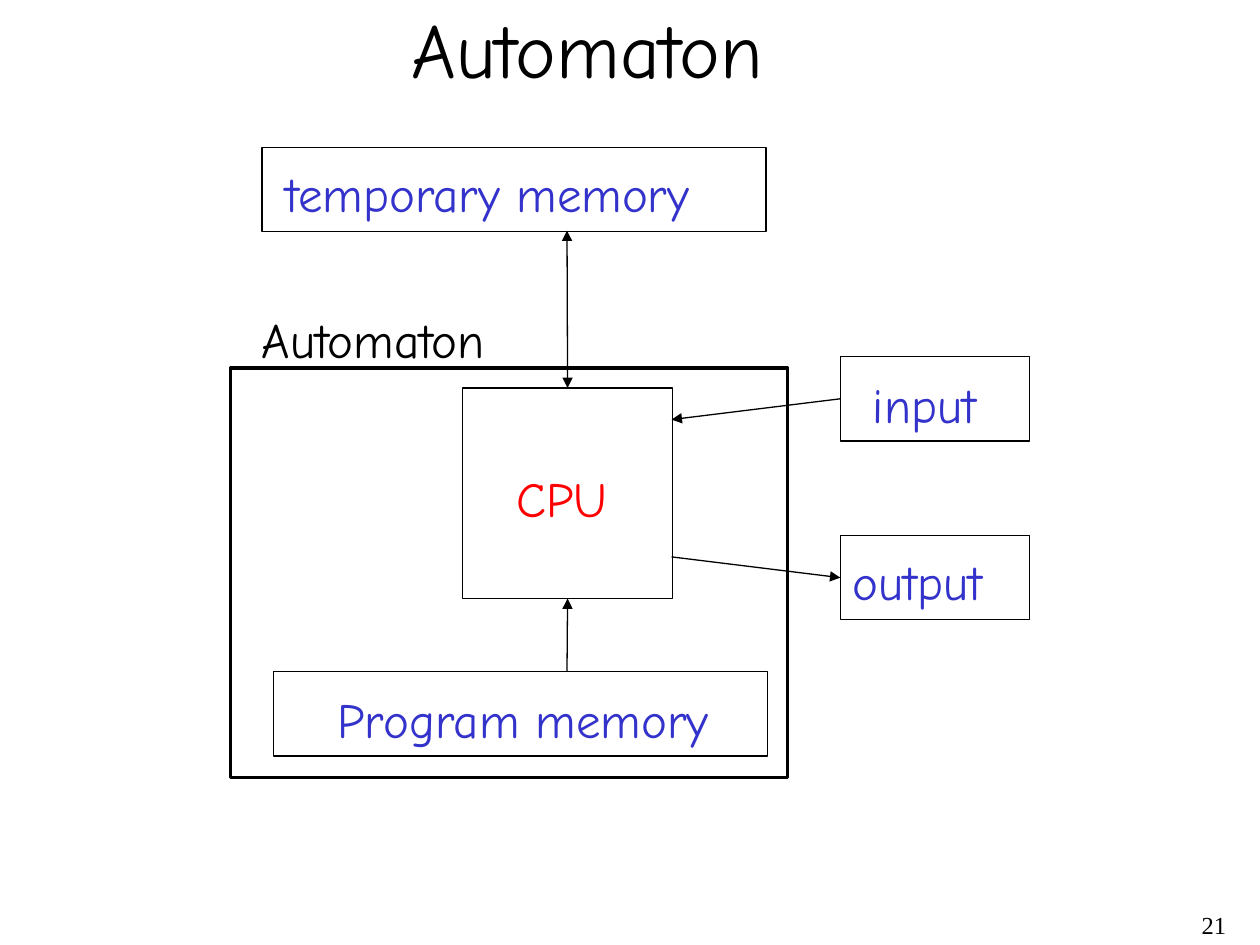
from lxml import etree
from pptx import Presentation
from pptx.dml.color import RGBColor
from pptx.enum import shapes, text
from pptx.oxml import ns
from pptx.util import Inches, Pt

BLACK = RGBColor(0x00, 0x00, 0x00)
RED = RGBColor(0xFF, 0x00, 0x00)
BLUE = RGBColor(0x33, 0x33, 0xCC)
FONT = "Comic Neue"
THIN = 0.75

BOXES = {
    "cpu": (3.67, 3.08, 1.67, 1.67, THIN),
    "temporary memory": (2.08, 1.17, 4, 0.67, THIN),
    "input": (6.67, 2.83, 1.5, 0.67, THIN),
    "output": (6.67, 4.25, 1.5, 0.67, THIN),
    "program memory": (2.17, 5.33, 3.92, 0.67, THIN),
    "automaton": (1.83, 2.92, 4.42, 3.25, 2),
}
LABELS = [
    ("Automaton", 3.17, -0.04, 3.29, 0.83, 44, BLACK),
    ("CPU", 4, 3.67, 0.93, 0.57, 28, RED),
    ("input", 6.83, 2.92, 1.11, 0.57, 28, BLUE),
    ("output", 6.67, 4.33, 1.39, 0.57, 28, BLUE),
    ("Program memory", 2.58, 5.42, 3.22, 0.57, 28, BLUE),
    ("temporary memory", 2.17, 1.25, 3.62, 0.57, 28, BLUE),
    ("Automaton", 1.98, 2.41, 2.17, 0.57, 28, BLACK),
]
TOP, LEFT, BOTTOM = 0, 1, 2
ARROWS = [
    ((4.5, 1.83), (4.5, 3.08), None, ("cpu", TOP), ("headEnd", "tailEnd")),
    ((6.67, 3.17), (5.33, 3.33), ("input", LEFT), None, ("tailEnd",)),
    ((5.33, 4.42), (6.67, 4.58), None, ("output", LEFT), ("tailEnd",)),
    ((4.5, 5.33), (4.5, 4.75), None, ("cpu", BOTTOM), ("tailEnd",)),
]


def add_box(slide, left, top, width, height, line_width):
    box = slide.shapes.add_shape(
        shapes.MSO_SHAPE.RECTANGLE, *map(Inches, (left, top, width, height)))
    box.shadow.inherit = False
    box.fill.background()
    box.line.color.rgb = BLACK
    box.line.width = Pt(line_width)
    return box


def add_label(slide, words, left, top, width, height, size, color, font=FONT):
    label = slide.shapes.add_textbox(*map(Inches, (left, top, width, height)))
    label.text_frame.word_wrap = False
    label.text_frame.auto_size = text.MSO_AUTO_SIZE.SHAPE_TO_FIT_TEXT
    paragraph = label.text_frame.paragraphs[0]
    paragraph.text = words
    paragraph.font.name = font
    paragraph.font.size = Pt(size)
    paragraph.font.color.rgb = color
    return label


def add_arrow(slide, boxes, start, end, begin_joint, end_joint, arrowheads):
    arrow = slide.shapes.add_connector(
        shapes.MSO_CONNECTOR.STRAIGHT, *map(Inches, start + end))
    if begin_joint:
        arrow.begin_connect(boxes[begin_joint[0]], begin_joint[1])
    if end_joint:
        arrow.end_connect(boxes[end_joint[0]], end_joint[1])
    arrow.line.color.rgb = BLACK
    arrow.line.width = Pt(THIN)
    properties = arrow.line._get_or_add_ln()
    for arrowhead in arrowheads:
        etree.SubElement(properties, ns.qn(f"a:{arrowhead}"), type="triangle")
    etree.SubElement(arrow._element.spPr, ns.qn("a:effectLst"))


def main():
    presentation = Presentation()
    presentation.slide_width = Inches(10)
    presentation.slide_height = Inches(7.5)
    slide = presentation.slides.add_slide(presentation.slide_layouts[6])
    boxes = {name: add_box(slide, *box) for name, box in BOXES.items()}
    for label in LABELS:
        add_label(slide, *label)
    for arrow in ARROWS:
        add_arrow(slide, boxes, *arrow)
    number = add_label(slide, "21", 7.75, 7.17, 2.08, 0.33, 14, BLACK, "Times New Roman")
    number.text_frame.word_wrap = True
    number.text_frame.auto_size = text.MSO_AUTO_SIZE.NONE
    number.text_frame.paragraphs[0].alignment = text.PP_ALIGN.RIGHT
    presentation.save("out.pptx")


if __name__ == "__main__":
    main()
